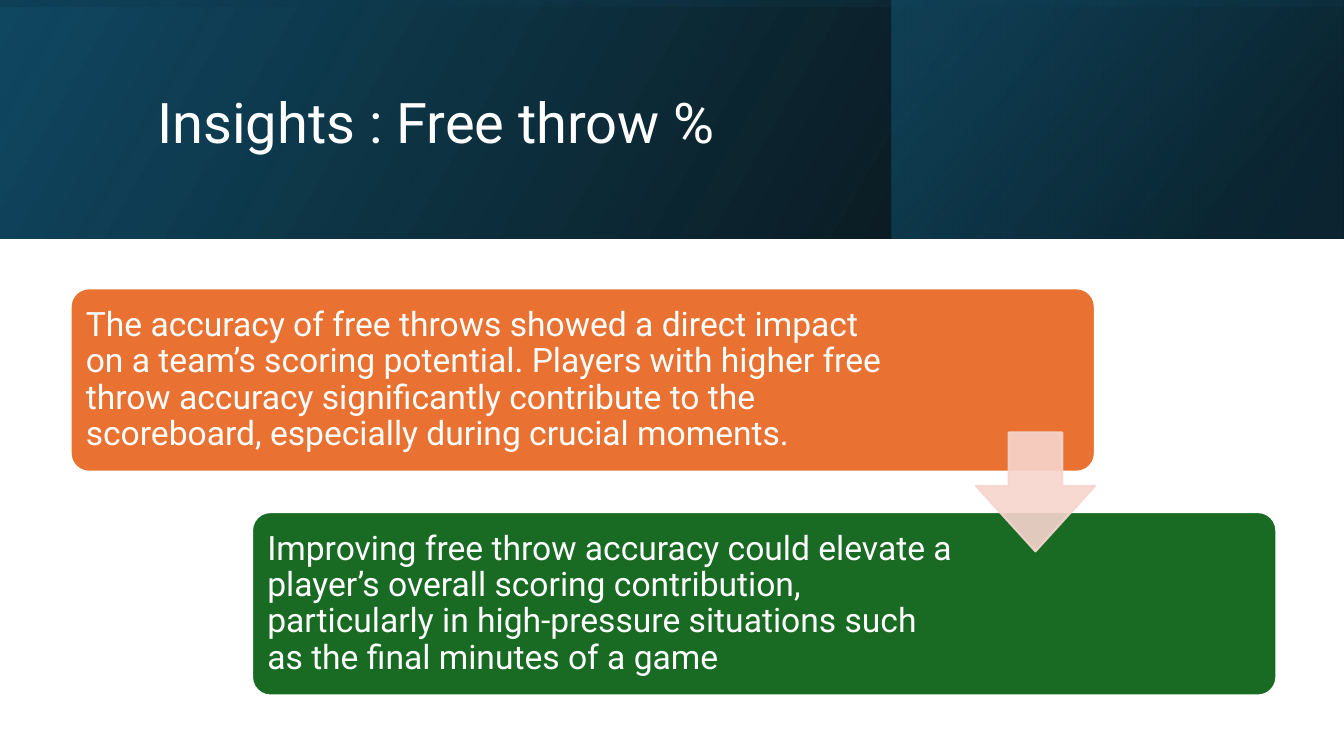
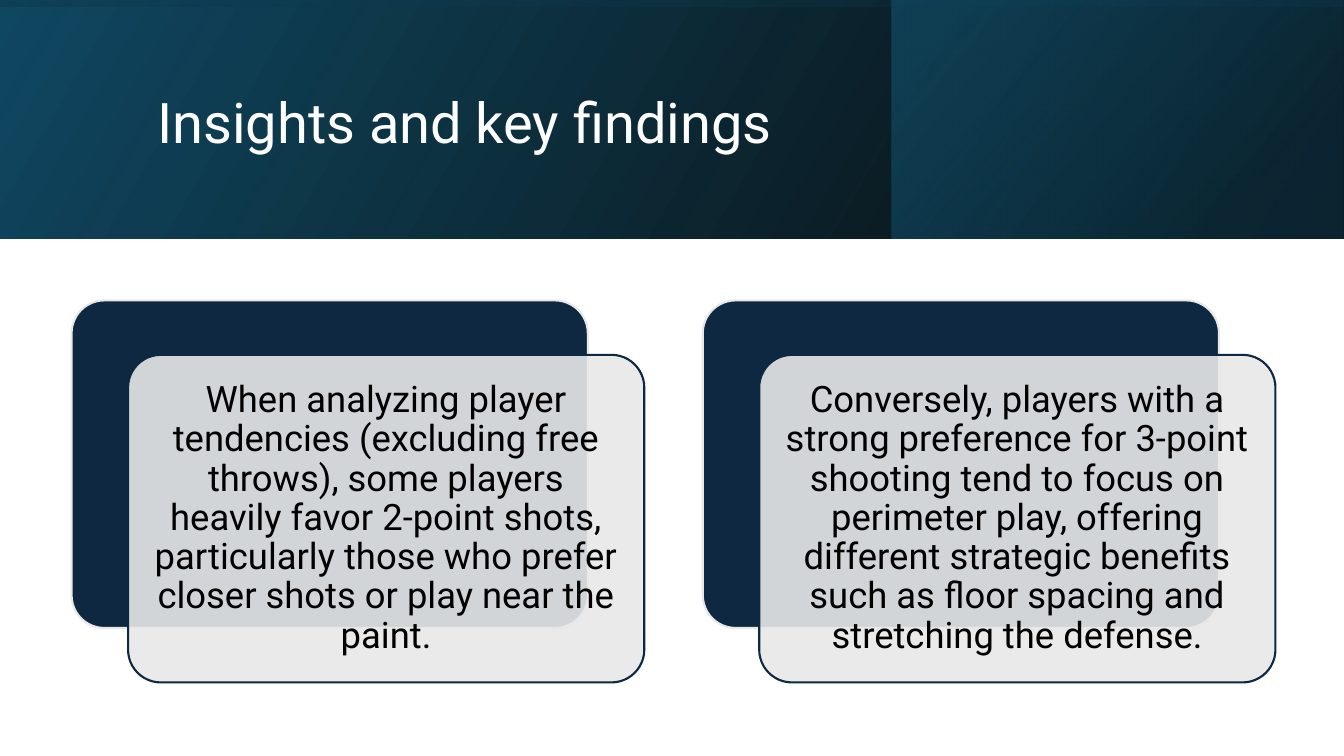
from lxml.etree import SubElement
from pptx import Presentation
from pptx.dml.color import RGBColor
from pptx.enum.shapes import MSO_SHAPE as SHAPE
from pptx.enum.text import MSO_ANCHOR as ANCHOR, PP_ALIGN as ALIGN
from pptx.oxml.ns import qn
from pptx.util import Inches, Pt

FONT = "Roboto"
WHITE, BLACK, NAVY, GREY = "FFFFFF", "000000", "0E2841", "E8E8E8"
ORANGE, GREEN, PINK = "E97132", "196B24", "F7D5CE"
BLUE, DEEP_BLUE, TEAL = "104862", "0B3041", "156082"

WIDTH, HEIGHT, BAND_HEIGHT = 13.33, 7.5, 2.37

# Each band: box, rotation, gradient angle, stops of (position, colour, opacity)
turned_left = (WIDTH - BAND_HEIGHT) / 2
BANDS = [
    ((0, 0, WIDTH, BAND_HEIGHT), 0, 330, [(0, BLACK, 96), (100, BLUE, 100)]),
    ((8.84, 0, 4.48, BAND_HEIGHT), 0, 320, [(19, DEEP_BLUE, 68), (100, TEAL, 48)]),
    ((turned_left, -turned_left, BAND_HEIGHT, WIDTH), 270, 350,
     [(23, BLUE, 16), (99, BLACK, 45)]),
]


def set_color(color, value, opacity=100):
    """Give a color format a hex colour and an opacity in percent."""
    color.rgb = RGBColor.from_string(value)
    if opacity < 100:
        SubElement(color._xFill[0], qn("a:alpha")).set("val", str(opacity * 1000))


def add_block(slide, box, text="", *, kind=None, adjustments=(), fill=None, opacity=100,
              line=None, line_opacity=100, size=24, colour=WHITE, align=ALIGN.LEFT,
              inset=0.1, right_inset=None):
    """Add a preset shape, or a text box when kind is None, with its text."""
    lengths = [Inches(value) for value in box]
    if kind is None:
        shape = slide.shapes.add_textbox(*lengths)
    else:
        shape = slide.shapes.add_shape(kind, *lengths)
        shape.shadow.inherit = False
        for index, value in enumerate(adjustments):
            shape.adjustments[index] = value
    if fill:
        shape.fill.solid()
        set_color(shape.fill.fore_color, fill, opacity)
    if line:
        shape.line.width = Pt(1.5)
        set_color(shape.line.color, line, line_opacity)
    else:
        shape.line.fill.background()
    if text:
        frame = shape.text_frame
        frame.word_wrap = True
        frame.vertical_anchor = ANCHOR.MIDDLE
        frame.margin_left = frame.margin_top = frame.margin_bottom = Inches(inset)
        frame.margin_right = Inches(inset if right_inset is None else right_inset)
        paragraph = frame.paragraphs[0]
        paragraph.alignment = align
        paragraph.line_spacing = 0.9
        run = paragraph.add_run()
        run.text = text
        run.font.name = FONT
        run.font.size = Pt(size)
        set_color(run.font.color, colour)
    return shape


presentation = Presentation()
presentation.slide_width = Inches(WIDTH)
presentation.slide_height = Inches(HEIGHT)

# Shared header
slides = []
for title in ["Insights : Free throw %", "Insights and key findings"]:
    slide = presentation.slides.add_slide(presentation.slide_layouts[6])
    for box, rotation, angle, stops in BANDS:
        band = add_block(slide, box, kind=SHAPE.RECTANGLE)
        band.rotation = rotation
        band.element.spPr.xfrm.set("flipH", "1")
        band.fill.gradient()
        band.fill.gradient_angle = 360 - angle
        for stop, (position, colour, opacity) in zip(band.fill.gradient_stops, stops):
            stop.position = position / 100
            set_color(stop.color, colour, opacity)
    add_block(slide, (1.51, 0.38, 10.63, 1.72), title, size=40, inset=0.05)
    slides.append(slide)
throw_slide, findings_slide = slides

# Free throws: two stepped cards joined by an arrow
steps = [
    (0.7, 2.86, ORANGE, 1.87,
     "The accuracy of free throws showed a direct impact on a team’s scoring potential. "
     "Players with higher free throw accuracy significantly contribute to the scoreboard, "
     "especially during crucial moments."),
    (2.5, 5.08, GREEN, 3.08,
     "Improving free throw accuracy could elevate a player’s overall scoring contribution, "
     "particularly in high-pressure situations such as the final minutes of a game"),
]
for left, top, fill, right_inset, text in steps:
    add_block(throw_slide, (left, top, 10.16, 1.82), text, kind=SHAPE.ROUNDED_RECTANGLE,
              adjustments=[0.1], fill=fill, line=WHITE, right_inset=right_inset)
add_block(throw_slide, (9.68, 4.29, 1.18, 1.18), kind=SHAPE.DOWN_ARROW,
          adjustments=[0.45, 0.55], fill=PINK, opacity=90, line=PINK, line_opacity=90)

# Key findings: two cards, each over a navy backing
findings = [
    "When analyzing player tendencies (excluding free throws), some players heavily favor "
    "2-point shots, particularly those who prefer closer shots or play near the paint.",
    "Conversely, players with a strong preference for 3-point shooting tend to focus on "
    "perimeter play, offering different strategic benefits such as floor spacing and "
    "stretching the defense.",
]
for column, text in enumerate(findings):
    left = 0.71 + column * 6.26
    card = dict(kind=SHAPE.ROUNDED_RECTANGLE, adjustments=[0.1])
    add_block(findings_slide, (left, 2.98, 5.12, 3.25), fill=NAVY, line=GREY, **card)
    add_block(findings_slide, (left + 0.56, 3.52, 5.12, 3.25), text, fill=GREY, opacity=90,
              line=NAVY, size=26, colour=BLACK, align=ALIGN.CENTER, inset=0.11, **card)

presentation.save("out.pptx")
